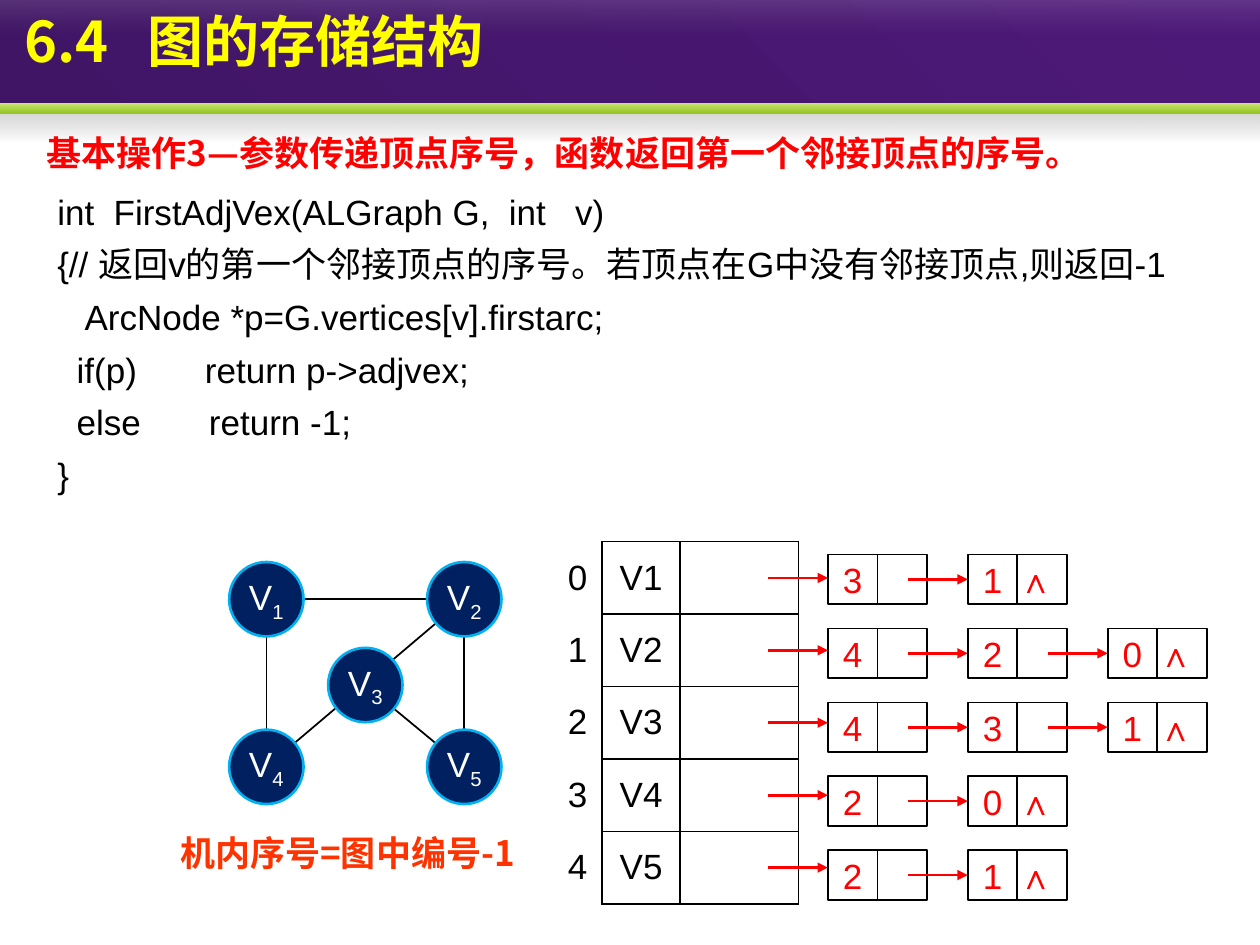
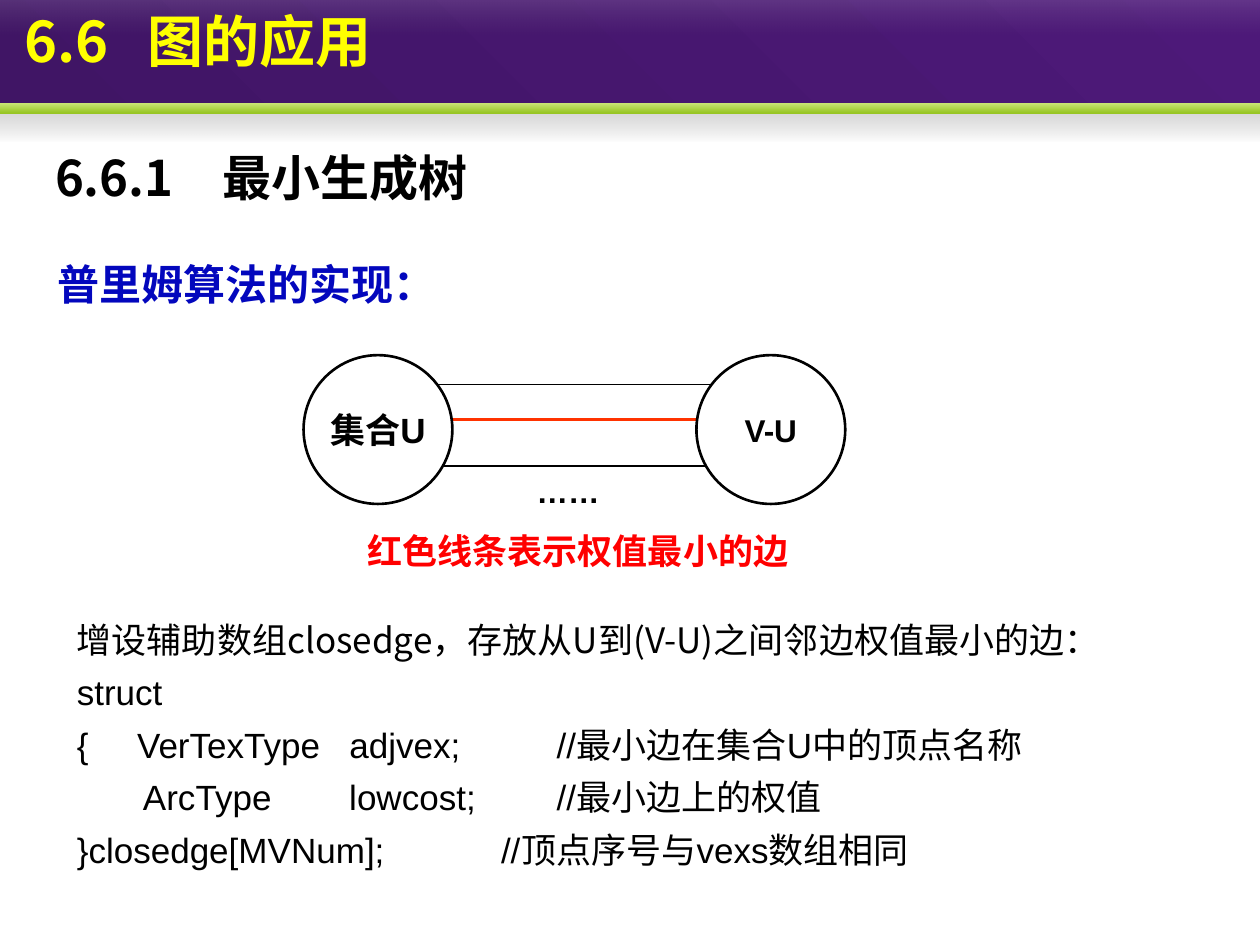
import math
from lxml import etree
from pptx import Presentation, util as u
from pptx.dml.color import RGBColor
from pptx.enum import shapes as kinds, text as t
from pptx.oxml import ns

COLORS = {
    "black": "000000", "white": "FFFFFF", "title": "FFFF00", "red": "FF0000",
    "orange": "FF3300", "blue": "0307BD", "node": "002060", "rim": "00B0F0",
    "purple_dark": "401565", "purple": "4D1979", "green_light": "C9E576",
    "green": "97C523", "shade": "808080", "shade_end": "5C5C5C", "gloss_end": "B6B6B6",
}
SANS, HEI = "Arial", "Noto Sans CJK SC"
WIDTH, HEIGHT = 25.4, 19.05
CENTER, MIDDLE = t.PP_ALIGN.CENTER, t.MSO_ANCHOR.MIDDLE
INSETS = (0.25, 0.13, 0.25, 0.13)


def rgb(name):
    return RGBColor.from_string(COLORS[name])


def sub(parent, tag, **attributes):
    return etree.SubElement(parent, ns.qn(tag), **attributes)


def write(frame, paragraphs, size=20, color="black", font=SANS, bold=False, align=None,
          anchor=t.MSO_ANCHOR.TOP, wrap=True, insets=INSETS, before=0, spacing=None,
          hanging=0, tab=None):
    frame.word_wrap = wrap
    frame.vertical_anchor = anchor
    frame.margin_left, frame.margin_top, frame.margin_right, frame.margin_bottom = map(u.Cm, insets)
    for index, pieces in enumerate(paragraphs):
        paragraph = frame.paragraphs[0] if index == 0 else frame.add_paragraph()
        properties = paragraph._p.get_or_add_pPr()
        if hanging:
            properties.set("marL", str(u.Cm(hanging)))
            properties.set("indent", str(-u.Cm(hanging)))
        if tab:
            sub(sub(properties, "a:tabLst"), "a:tab", pos=str(u.Cm(tab)), algn="l")
        if align is not None:
            paragraph.alignment = align
        if spacing:
            paragraph.line_spacing = spacing
        if before and index:
            paragraph.space_before = u.Pt(before)
        for piece in [pieces] if isinstance(pieces, str) else pieces:
            words, own = (piece, {}) if isinstance(piece, str) else piece
            run = paragraph.add_run()
            run.text = words
            run.font.size = u.Pt(size)
            run.font.bold = bold
            run.font.color.rgb = rgb(color)
            run.font.name = own.get("font", font)
            sub(run._r.rPr, "a:ea", typeface=HEI)
            if "baseline" in own:
                run._r.rPr.set("baseline", str(own["baseline"]))


def label(slide, left, top, width, height, *paragraphs, **style):
    box = slide.shapes.add_textbox(*map(u.Cm, (left, top, width, height)))
    write(box.text_frame, paragraphs, **style)


def outline(slide, kind, left, top, width, height, line="black", weight=1.0, fill=None):
    shape = slide.shapes.add_shape(kind, *map(u.Cm, (left, top, width, height)))
    shape.shadow.inherit = False
    if fill:
        shape.fill.solid()
        shape.fill.fore_color.rgb = rgb(fill)
    else:
        shape.fill.background()
    shape.line.color.rgb = rgb(line)
    shape.line.width = u.Pt(weight)
    return shape


def connect(slide, start, end, color="black", weight=1.0, arrow=False):
    line = slide.shapes.add_connector(kinds.MSO_CONNECTOR.STRAIGHT, *map(u.Cm, (*start, *end)))
    line.line.color.rgb = rgb(color)
    line.line.width = u.Pt(weight)
    if arrow:
        sub(line.line._get_or_add_ln(), "a:tailEnd", type="triangle")
    sub(line._element.spPr, "a:effectLst")


def band(slide, top, height, stops, angle=270):
    strip = slide.shapes.add_shape(kinds.MSO_SHAPE.RECTANGLE, 0, u.Cm(top), u.Cm(WIDTH), u.Cm(height))
    strip.shadow.inherit = False
    strip.line.fill.background()
    strip.fill.gradient()
    strip.fill.gradient_angle = angle
    for stop, (color, _) in zip(strip.fill.gradient_stops, stops):
        stop.color.rgb = rgb(color)
    for node, (_, alpha) in zip(strip._element.spPr.iter(ns.qn("a:srgbClr")), stops):
        if alpha < 100:
            sub(node, "a:alpha", val=str(alpha * 1000))


def header(slide, number, title):
    band(slide, 0, 2.29, [("purple_dark", 100), ("purple", 100)], angle=45)
    band(slide, 2.24, 0.61, [("shade", 33), ("shade_end", 0)])
    band(slide, 2.08, 0.2, [("green_light", 100), ("green", 100)])
    band(slide, 0, 0.71, [("white", 13), ("gloss_end", 0)])
    label(slide, 0.25, 0, 25.15, 2.29, f"{number}\t{title}",
          size=32, color="title", font=HEI, bold=True, tab=2.47)


def graph(slide, left, top, width, height):
    size = 1.5
    right, bottom = left + width - size, top + height - size
    corners = {"1": (left, top), "2": (right, top), "3": ((left + right) / 2, (top + bottom) / 2 + 0.04),
               "4": (left, bottom), "5": (right, bottom)}
    centers = {vertex: (x + size / 2, y + size / 2) for vertex, (x, y) in corners.items()}
    for first, second in ("12", "14", "25", "24", "35"):
        (x1, y1), (x2, y2) = centers[first], centers[second]
        trim = size / 2 / math.hypot(x2 - x1, y2 - y1)
        dx, dy = (x2 - x1) * trim, (y2 - y1) * trim
        connect(slide, (x1 + dx, y1 + dy), (x2 - dx, y2 - dy))
    for vertex, corner in corners.items():
        node = outline(slide, kinds.MSO_SHAPE.OVAL, *corner, size, size, "rim", 1.5, "node")
        write(node.text_frame, [["V", (vertex, {"baseline": -25000})]],
              color="white", align=CENTER, anchor=MIDDLE, wrap=False)


def border(cell, sides):
    properties = cell._tc.get_or_add_tcPr()
    for index, side in enumerate("LRTB"):
        edge = etree.Element(ns.qn(f"a:ln{side}"), w=str(u.Pt(1)))
        if side in sides:
            sub(sub(edge, "a:solidFill"), "a:srgbClr", val=COLORS["black"])
        else:
            sub(edge, "a:noFill")
        properties.insert(index, edge)


def vertex_table(slide, left, top, row_height, count):
    columns = (0.99, 1.57, 2.39)
    table = slide.shapes.add_table(count, 3, *map(u.Cm, (left, top, sum(columns), row_height * count))).table
    table.first_row = table.horz_banding = False
    for column, width in zip(table.columns, columns):
        column.width = u.Cm(width)
    for index, row in enumerate(table.rows):
        row.height = u.Cm(row_height)
        for position, (cell, words) in enumerate(zip(row.cells, (str(index), f"V{index + 1}", ""))):
            cell.fill.background()
            border(cell, "LRTB" if position else "R")
            if words:
                cell.vertical_anchor = MIDDLE
                cell.margin_left = cell.margin_right = u.Cm(0.1)
                write(cell.text_frame, [words], align=CENTER, anchor=MIDDLE, insets=(0.1, 0.13, 0.1, 0.13))


def adjacency_lists(slide, left, top, neighbours):
    row_height, chain_gap, step, cell, reach = 1.46, 1.49, 2.82, 1.0, 1.2
    vertex_table(slide, left, top, row_height, len(neighbours))
    chain_left, chain_top = left + 5.54, top + 0.26
    for row, chain in enumerate(neighbours):
        y = chain_top + row * chain_gap
        for index, neighbour in enumerate(chain):
            x = chain_left + index * step
            last = index == len(chain) - 1
            parts = (neighbour, 0), ("∧" if last else "", 0.25)
            for part, (words, inset) in enumerate(parts):
                field = outline(slide, kinds.MSO_SHAPE.RECTANGLE, x + part * cell, y, cell, cell)
                if words:
                    write(field.text_frame, [words], color="red", bold=bool(inset), align=CENTER,
                          anchor=MIDDLE, wrap=False, insets=(0, 0, inset, 0))
            level = y + cell / 2 if index else top + (row + 0.5) * row_height
            connect(slide, (x - reach, level), (x, level), "red", 1.5, arrow=True)


def edge_sets(slide, left, top, width, size):
    x1, x2 = left + size / 2, left + width - size / 2
    for drop, color, weight in ((0.59, "black", 1), (1.3, "orange", 1.5), (2.24, "black", 1)):
        connect(slide, (x1, top + drop), (x2, top + drop), color, weight)
    label(slide, left + 4.45, top + 2.29, 1.8, 0.91, "……", size=18, bold=True,
          anchor=MIDDLE, wrap=False, insets=(0.25, 0, 0.25, 0))
    for x, words, points in ((left, "集合U", 20), (left + width - size, "V-U", 18)):
        circle = outline(slide, kinds.MSO_SHAPE.OVAL, x, top, size, size, weight=1.5, fill="white")
        write(circle.text_frame, [words], size=points, bold=True, align=CENTER,
              anchor=MIDDLE, insets=(0, 0.13, 0, 0.13))
    label(slide, left + 1.04, top + 3.51, 9.12, 0.86, "红色线条表示权值最小的边", color="red",
          bold=True, anchor=MIDDLE, wrap=False, insets=(0.25, 0, 0.25, 0))


def storage_slide(slide):
    header(slide, "6.4", "图的存储结构")
    label(slide, 0.69, 2.36, 22.02, 1.42,
          ["基本操作3—参数传递顶点序号，函数返回", ("第一个邻接顶点的序号。", {"font": SANS})],
          color="red", font=HEI, bold=True, anchor=MIDDLE)
    label(slide, 0.71, 3.71, 23.95, 6.81,
          " int  FirstAdjVex(ALGraph G,  int   v)",
          " {// 返回v的第一个邻接顶点的序号。若顶点在G中没有邻接顶点,则返回-1",
          "    ArcNode *p=G.vertices[v].firstarc;",
          "   if(p)       return p->adjvex;",
          "   else       return -1;",
          " }", hanging=0.97, before=6)
    graph(slide, 4.62, 11.33, 5.49, 4.88)
    adjacency_lists(slide, 11.15, 10.92, ("31", "420", "431", "20", "21"))
    label(slide, 3.38, 16.64, 7.29, 1.12, "机内序号=图中编号-1", color="orange", font=HEI, bold=True)


def application_slide(slide):
    header(slide, "6.6", "图的应用")
    label(slide, 0.86, 2.84, 12.4, 1.45, "6.6.1　最小生成树", size=28, font=HEI, bold=True)
    label(slide, 0.91, 4.57, 8.26, 1.8, "普里姆算法的实现：", size=24, color="blue",
          font=HEI, bold=True, wrap=False, spacing=1.5)
    edge_sets(slide, 6.12, 7.16, 10.92, 3.0)
    label(slide, 1.3, 12.12, 22.81, 5.59,
          [("增设辅助数组closedge，存放从U到(V-U)之间邻边权值最小的边：", {"font": HEI})],
          "struct",
          "{     VerTexType   adjvex;\t    //最小边在集合U中的顶点名称",
          "       ArcType        lowcost;\t    //最小边上的权值",
          "}closedge[MVNum];            //顶点序号与vexs数组相同", spacing=u.Pt(30))


def main():
    deck = Presentation()
    deck.slide_width, deck.slide_height = u.Cm(WIDTH), u.Cm(HEIGHT)
    for build in (storage_slide, application_slide):
        build(deck.slides.add_slide(deck.slide_layouts[6]))
    deck.save("out.pptx")


if __name__ == "__main__":
    main()
